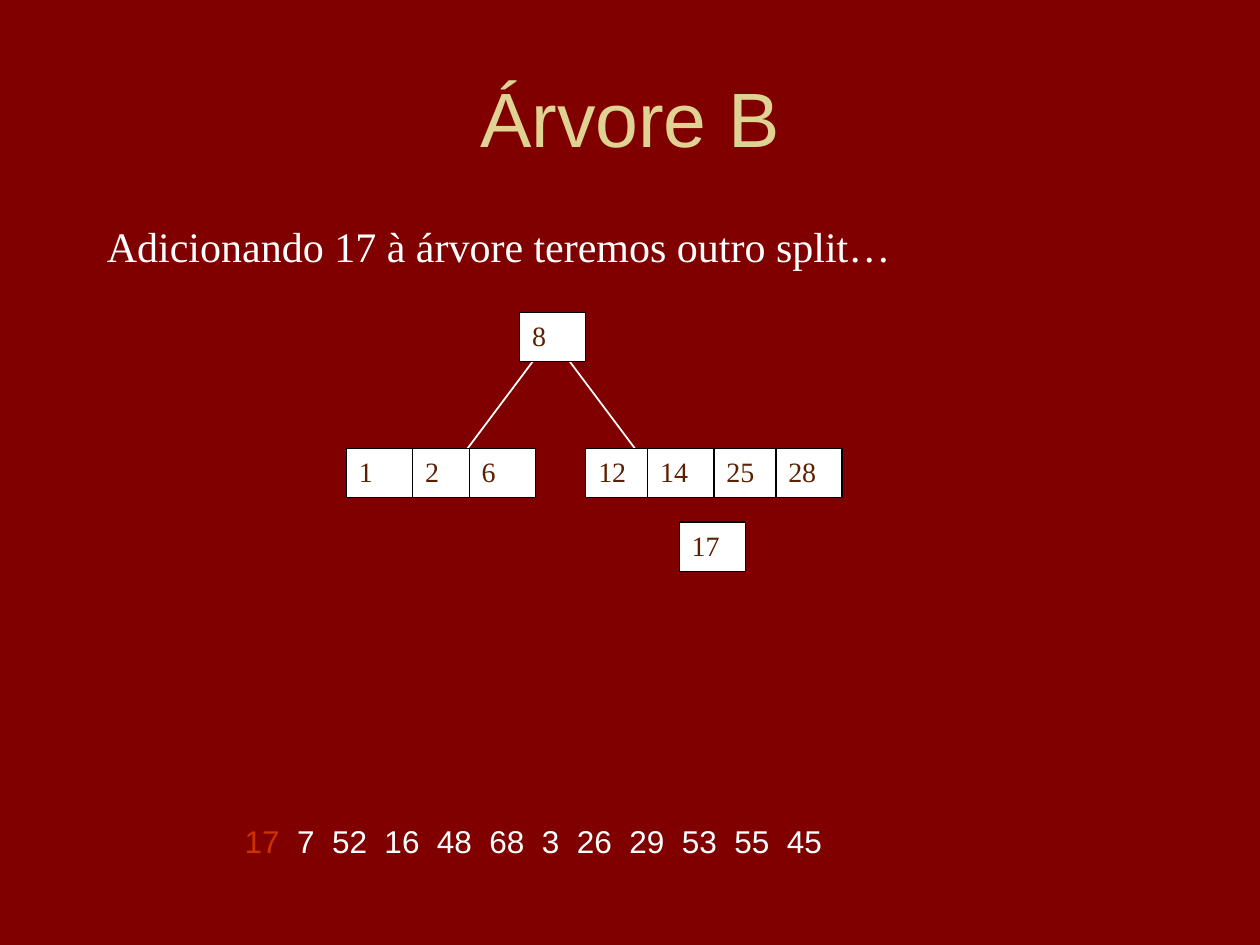
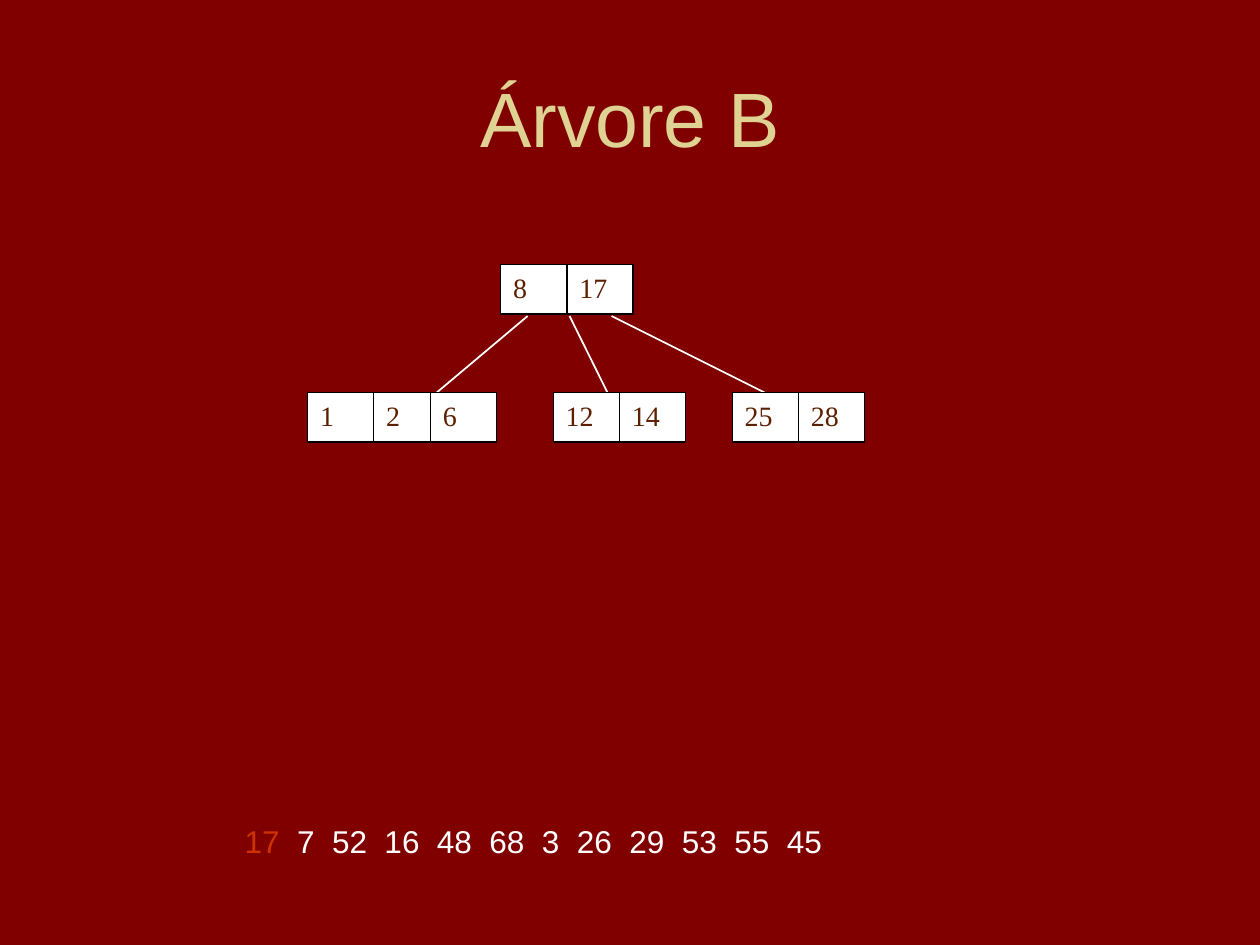
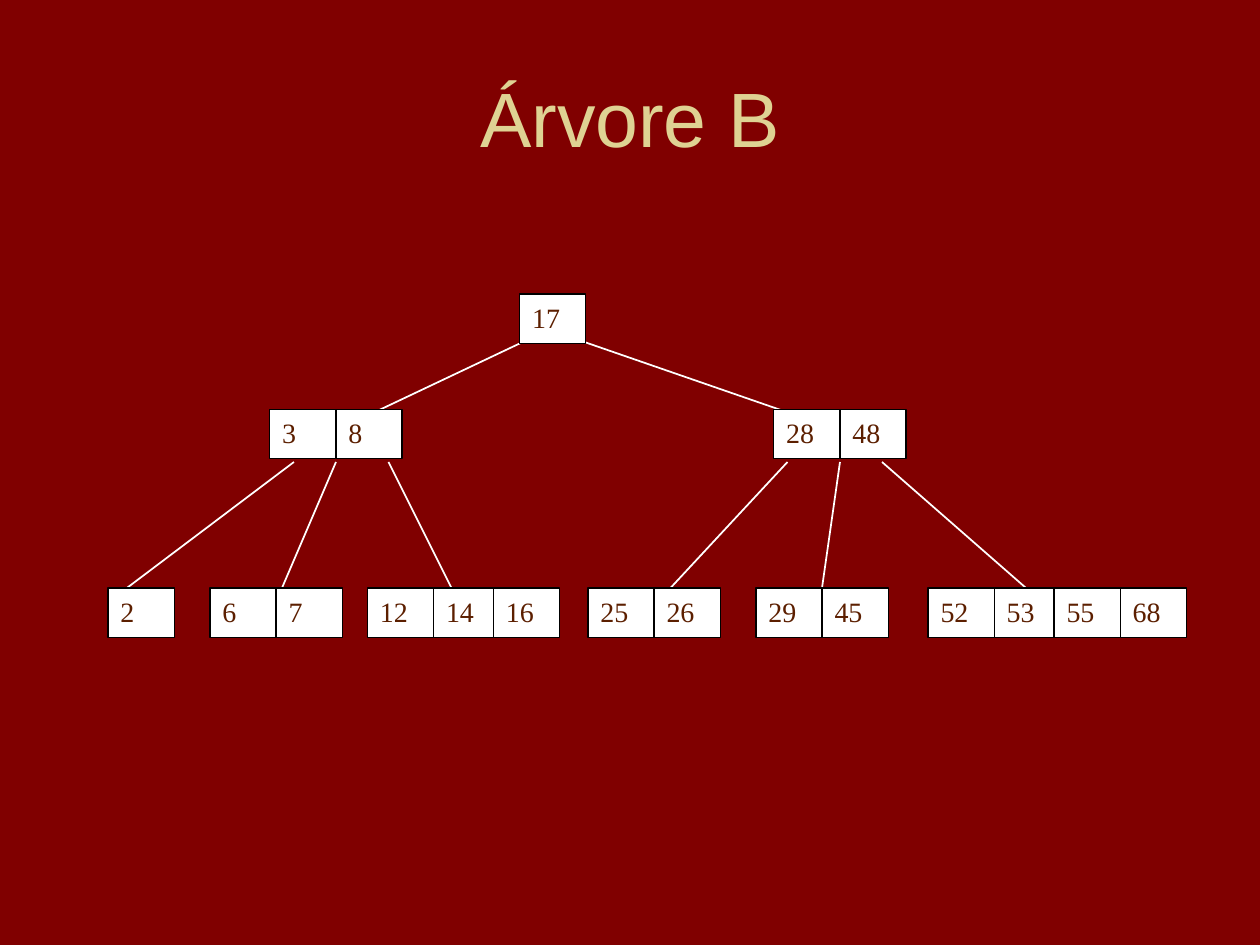
from dataclasses import dataclass
from lxml import etree
from pptx import Presentation
from pptx.dml.color import RGBColor
from pptx.enum.shapes import MSO_CONNECTOR, MSO_SHAPE
from pptx.enum.text import MSO_ANCHOR, PP_ALIGN
from pptx.oxml.ns import qn
from pptx.util import Inches, Pt

STRAIGHT = MSO_CONNECTOR.STRAIGHT
RECTANGLE = MSO_SHAPE.RECTANGLE
MIDDLE, TOP = MSO_ANCHOR.MIDDLE, MSO_ANCHOR.TOP
CENTER, LEFT = PP_ALIGN.CENTER, PP_ALIGN.LEFT

MAROON = RGBColor(0x80, 0x00, 0x00)
SAND = RGBColor(0xDF, 0xD2, 0x93)
WHITE = RGBColor(0xFF, 0xFF, 0xFF)
BLACK = RGBColor(0x00, 0x00, 0x00)
BROWN = RGBColor(0x5C, 0x1F, 0x00)
ORANGE = RGBColor(0xCC, 0x33, 0x00)
SANS, SERIF = "Arial", "Times New Roman"

PAGE_WIDTH, PAGE_HEIGHT = Inches(10), Inches(7.5)
COLUMNS, ROWS = 120, 90
CELL_WIDTH, CELL_HEIGHT = 6.3, 4.7
TITLE = "Árvore B"
PENDING_KEYS = [17, 7, 52, 16, 48, 68, 3, 26, 29, 53, 55, 45]


@dataclass
class Box:
    left: float
    top: float
    width: float
    height: float

    def frame(self):
        return (*point(self.left, self.top), *point(self.width, self.height))


@dataclass
class Node:
    left: float
    top: float
    keys: tuple
    tight_key: int = 0
    tight_step: float = CELL_WIDTH

    def cells(self):
        left = self.left
        for key in self.keys:
            yield key, Box(left, self.top, CELL_WIDTH, CELL_HEIGHT)
            left += self.tight_step if key == self.tight_key else CELL_WIDTH


TITLE_BOX = Box(6, 3.6, 108, 15)
MESSAGE_BOX = Box(9, 20.4, 103, 6)
QUEUE_BOX = Box(21.25, 78.1, 58.2, 4.4)


def point(column, row):
    return round(PAGE_WIDTH * column / COLUMNS), round(PAGE_HEIGHT * row / ROWS)


def style_font(font, name, size, color):
    font.name, font.size = name, Pt(size)
    font.color.rgb = color


def add_page(deck):
    page = deck.slides.add_slide(deck.slide_layouts[5])
    title = page.shapes.title
    title.left, title.top, title.width, title.height = TITLE_BOX.frame()
    title.text_frame.text = TITLE
    title.text_frame.vertical_anchor = MIDDLE
    para = title.text_frame.paragraphs[0]
    para.alignment = CENTER
    style_font(para.font, SANS, 44, SAND)
    return page


def add_message(page, box, text):
    frame = page.shapes.add_textbox(*box.frame()).text_frame
    frame.word_wrap = True
    frame.text = text
    style_font(frame.paragraphs[0].font, SERIF, 24, WHITE)


def add_queue(page, box, keys):
    frame = page.shapes.add_textbox(*box.frame()).text_frame
    frame.word_wrap = True
    frame.margin_left, frame.margin_right = Inches(0.17), 0
    para = frame.paragraphs[0]
    para.line_spacing = 0.9
    for index, key in enumerate(keys):
        if index:
            gap = para.add_run()
            gap.text = " "
            style_font(gap.font, SANS, 18, WHITE)
            gap.font._element.set("spc", "500")
        span = para.add_run()
        span.text = str(key)
        style_font(span.font, SANS, 18, WHITE if index else ORANGE)


def add_branch(page, start, end):
    branch = page.shapes.add_connector(STRAIGHT, *point(*start), *point(*end))
    branch.line.color.rgb = WHITE
    branch.line.width = Pt(1)
    etree.SubElement(branch._element.spPr, qn("a:effectLst"))


def add_cell(page, box, key):
    cell = page.shapes.add_shape(RECTANGLE, *box.frame())
    cell.shadow.inherit = False
    cell.fill.solid()
    cell.fill.fore_color.rgb = WHITE
    cell.line.color.rgb = BLACK
    cell.line.width = Pt(0.75)
    frame = cell.text_frame
    frame.text = str(key)
    frame.vertical_anchor = TOP
    para = frame.paragraphs[0]
    para.alignment = LEFT
    style_font(para.font, SERIF, 16, BROWN)


def add_tree(page, nodes, branches):
    for start, end in branches:
        add_branch(page, start, end)
    for node in nodes:
        for key, box in node.cells():
            add_cell(page, box, key)


def build_insertion(deck):
    page = add_page(deck)
    add_queue(page, QUEUE_BOX, PENDING_KEYS)
    add_message(page, MESSAGE_BOX, "Adicionando 17 à árvore teremos outro split…")
    leaf_row = 42.7
    nodes = [
        Node(49.5, 29.75, (8,)),
        Node(33, leaf_row, (1, 2, 6), 2, 5.4),
        Node(55.8, leaf_row, (12, 14)[:1]),
        Node(61.7, leaf_row, (14, 25, 28), 25, 5.9),
        Node(64.7, 49.7, (17,)),
    ]
    add_tree(page, nodes, [((52, 32.75), (43, 44.75)), ((53, 32.75), (62, 44.75))])


def build_split(deck):
    page = add_page(deck)
    add_queue(page, QUEUE_BOX, PENDING_KEYS)
    leaf_row, branch_row = 37.4, 30.1
    nodes = [
        Node(47.7, 25.2, (8, 17)),
        Node(29.3, leaf_row, (1, 2, 6), 2, 5.4),
        Node(52.7, leaf_row, (12, 14)),
        Node(69.75, leaf_row, (25, 28)),
    ]
    branches = [
        ((50.25, branch_row), (38.25, 40.2)),
        ((54.25, branch_row), (59.25, 40.2)),
        ((58.25, branch_row), (76.25, 39.1)),
    ]
    add_tree(page, nodes, branches)


def build_final(deck):
    page = add_page(deck)
    inner_row, leaf_row = 39, 56
    nodes = [
        Node(49.5, 28, (17,)),
        Node(25.7, inner_row, (3, 8)),
        Node(73.7, inner_row, (28, 48)),
        Node(10.3, leaf_row, (2,)),
        Node(20, leaf_row, (6, 7)),
        Node(35, leaf_row, (12, 14, 16), 14, 5.7),
        Node(56, leaf_row, (25, 26)),
        Node(72, leaf_row, (29, 45)),
        Node(88.4, leaf_row, (52, 53, 55, 68), 53, 5.7),
    ]
    branches = [((51, 32), (32, 41)), ((54, 32), (80, 41)), ((28, 44), (11.75, 56.25))]
    leaf_columns = [(32, 26), (37, 44), (75, 62), (80, 78), (84, 100)]
    branches += [((start, 44), (end, 58)) for start, end in leaf_columns]
    add_tree(page, nodes, branches)


def main():
    deck = Presentation()
    deck.slide_width, deck.slide_height = PAGE_WIDTH, PAGE_HEIGHT
    background = deck.slide_master.background.fill
    background.solid()
    background.fore_color.rgb = MAROON
    for build in (build_insertion, build_split, build_final):
        build(deck)
    deck.save("out.pptx")


if __name__ == "__main__":
    main()
